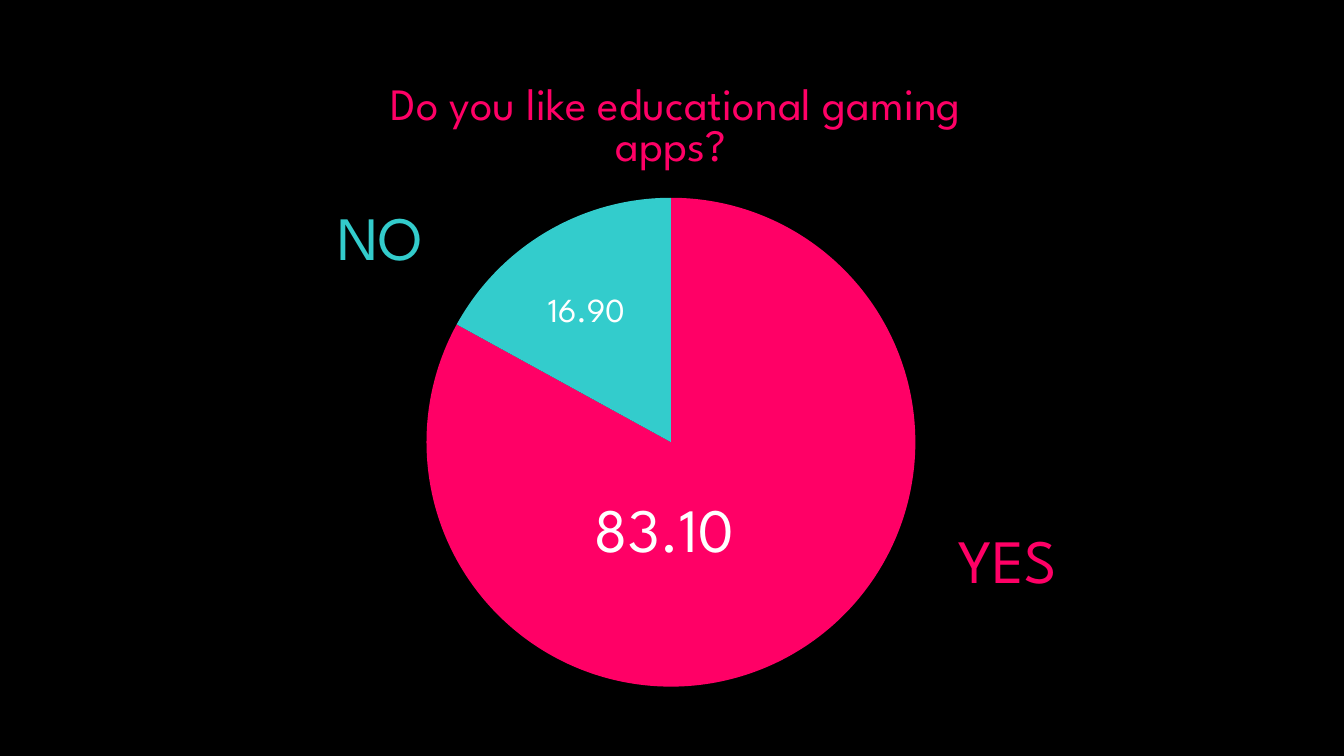
"""Build a slide with a pie chart of the answers about educational gaming apps."""
from pptx import Presentation
from pptx.chart.data import CategoryChartData
from pptx.dml.color import RGBColor
from pptx.enum.chart import XL_CHART_TYPE
from pptx.enum.text import PP_ALIGN
from pptx.oxml import parse_xml
from pptx.oxml.ns import nsdecls
from pptx.util import Pt

PX = 63500 / 7
FONT = "League Spartan"
PINK, TEAL, WHITE = "FF0066", "33CCCC", "FFFFFF"
QUESTION = " Do you like educational gaming apps?"


def px(*lengths):
    return [round(n * PX) for n in lengths]


def style(font, size, color, name=FONT):
    for key, value in {"name": name, "size": Pt(size), "bold": False}.items():
        setattr(font, key, value)
    font.color.rgb = RGBColor.from_string(color)


prs = Presentation()
prs.slide_width, prs.slide_height = px(1344, 756)
s = prs.slides.add_slide(prs.slide_layouts[6])
s.background.fill.solid()
s.background.fill.fore_color.rgb = RGBColor.from_string("000000")

data = CategoryChartData()
data.categories = ["1", "2"]
data.add_series(QUESTION, [83, 17])
chart = s.shapes.add_chart(XL_CHART_TYPE.PIE, *px(223, 57, 896, 640), data).chart
style(chart.font, 10, "000000", "Calibri")
chart.has_legend = False
chart.has_title = True
p = chart.chart_title.text_frame.paragraphs[0]
r = p.add_run()
r.text = QUESTION
style(r.font, 32, PINK)
chart.chart_title.include_in_layout = False

layout = {"x": 0.227, "y": 0.22, "w": 0.546, "h": 0.764}
xml = f'<c:layout {nsdecls("c")}><c:manualLayout><c:layoutTarget val="inner"/>'
xml += "".join(f'<c:{k}Mode val="edge"/>' for k in "xy")
xml += "".join(f'<c:{k} val="{v}"/>' for k, v in layout.items())
plot = chart.plots[0]
area = plot._element.getparent()
for old in area.findall("{*}layout"):
    area.remove(old)
area.insert(0, parse_xml(xml + "</c:manualLayout></c:layout>"))

plot.vary_by_categories = True
for i, color in enumerate([PINK, TEAL]):
    fmt = plot.series[0].points[i].format
    fmt.fill.solid()
    fmt.fill.fore_color.rgb = RGBColor.from_string(color)
    fmt.line.fill.background()

for text, box, size, color, align in [
    ("NO", (281, 194, 198, 70), 44, TEAL, PP_ALIGN.CENTER),
    ("YES", (909, 517, 198, 70), 44, PINK, PP_ALIGN.CENTER),
    ("83.10", (585, 486, 198, 76), 44, WHITE, PP_ALIGN.LEFT),
    ("16.90", (538, 284, 111, 66), 24, WHITE, PP_ALIGN.LEFT),
]:
    tf = s.shapes.add_textbox(*px(*box)).text_frame
    tf.word_wrap = True
    p = tf.paragraphs[0]
    p.alignment = align
    r = p.add_run()
    r.text = text
    style(r.font, size, color)

prs.save("out.pptx")
